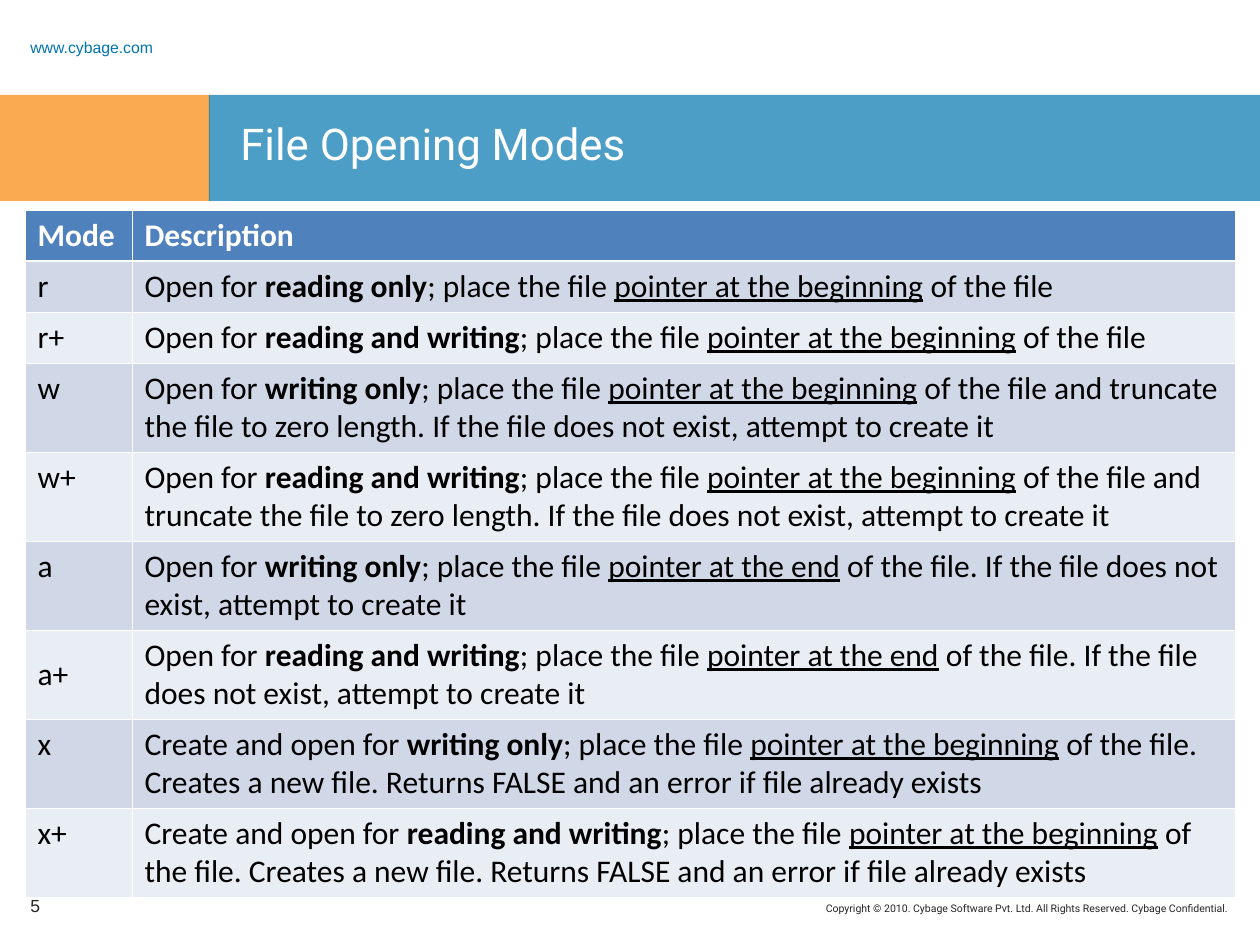
from lxml.etree import SubElement
from pptx import Presentation
from pptx.dml.color import RGBColor
from pptx.enum.shapes import MSO_SHAPE
from pptx.enum.text import MSO_ANCHOR as Anchor, PP_ALIGN as Align
from pptx.oxml.ns import qn
from pptx.util import Emu, Pt

PX = 914400 // 126
SLIDE_W, SLIDE_H = 1260, 945

WHITE = RGBColor(0xFF, 0xFF, 0xFF)
BLACK = RGBColor(0x00, 0x00, 0x00)
INK = RGBColor(0x26, 0x26, 0x26)
ORANGE = RGBColor(0xF8, 0x86, 0x08)
BLUE = RGBColor(0x00, 0x75, 0xB0)
HEADER_BLUE = RGBColor(0x4F, 0x81, 0xBD)
BAND_DARK = RGBColor(0xD0, 0xD8, 0xE8)
BAND_LIGHT = RGBColor(0xE9, 0xED, 0xF4)

READ, WRITE, BOTH = "reading only", "writing only", "reading and writing"
START, END = "pointer at the beginning", "pointer at the end"
ATTEMPT = "If the file does not exist, attempt to create it"
TRUNCATE = f" and truncate the file to zero length. {ATTEMPT}"
APPEND = f". {ATTEMPT}"
CREATE = ". Creates a new file. Returns FALSE and an error if file already exists"

# mode, opening words, access, pointer position, ending, row height
MODES = [
    ("r", "Open for ", READ, START, "", 51),
    ("r+", "Open for ", BOTH, START, "", 51),
    ("w", "Open for ", WRITE, START, TRUNCATE, 89),
    ("w+", "Open for ", BOTH, START, TRUNCATE, 89),
    ("a", "Open for ", WRITE, END, APPEND, 89),
    ("a+", "Open for ", BOTH, END, APPEND, 89),
    ("x", "Create and open for ", WRITE, START, CREATE, 89),
    ("x+", "Create and open for ", BOTH, START, CREATE, 89),
]
HEADER_H = 51
MODE_W = 107


def px(*lengths):
    return [Emu(length * PX) for length in lengths]


def add_run(paragraph, text, font, size, color, bold=False, underline=False):
    run = paragraph.add_run()
    run.text = text
    run.font.name = font
    run.font.size = Pt(size)
    run.font.color.rgb = color
    run.font.bold = bold
    run.font.underline = underline


def add_label(slide, box, text, font, size, color,
              anchor=Anchor.TOP, align=Align.LEFT, spacing=1.0):
    frame = slide.shapes.add_textbox(*px(*box)).text_frame
    frame.word_wrap = True
    frame.vertical_anchor = anchor
    line = frame.paragraphs[0]
    line.alignment = align
    line.line_spacing = spacing
    add_run(line, text, font, size, color)


def add_bar(slide, box, color):
    bar = slide.shapes.add_shape(MSO_SHAPE.RECTANGLE, *px(*box))
    bar.shadow.inherit = False
    bar.fill.solid()
    bar.fill.fore_color.rgb = color
    bar.line.fill.background()
    tint = bar.fill._xPr.find(qn("a:solidFill"))[0]
    SubElement(tint, qn("a:alpha"), val="70000")


def add_title_band(slide, box, title):
    left, top, width, height = box
    accent_w = 210
    add_bar(slide, (left, top, accent_w, height), ORANGE)
    add_bar(slide, (left + accent_w - 1, top, width - accent_w + 1, height), BLUE)
    add_label(slide, (left + 228, top + 16, 1000, 78), title, "Roboto", 25, WHITE)


def add_footer(slide, box, number, notice):
    left, top, width, height = box
    add_label(slide, (left, top, 68, height), number, "Arial", 10, INK, Anchor.MIDDLE)
    notice_w = 726
    add_label(slide, (left + width - notice_w, top + 15, notice_w, 33),
              notice, "Roboto", 6, INK, align=Align.RIGHT)


def style_cell(cell, fill, heavy_edge=None):
    # Borders come before the fill in the cell properties
    properties = cell._tc.get_or_add_tcPr()
    for edge in ("lnL", "lnR", "lnT", "lnB"):
        weight = Pt(1.5 if edge == heavy_edge else 0.5)
        line = SubElement(properties, qn(f"a:{edge}"), w=str(weight))
        SubElement(SubElement(line, qn("a:solidFill")), qn("a:srgbClr"), val=str(WHITE))
    cell.fill.solid()
    cell.fill.fore_color.rgb = fill


def add_modes_table(slide, box):
    left, top, width, height = box
    table = slide.shapes.add_table(len(MODES) + 1, 2, *px(left, top, width, height)).table
    table.columns[0].width, table.columns[1].width = px(MODE_W, width - MODE_W)

    # Header
    table.rows[0].height = px(HEADER_H)[0]
    for cell, heading in zip(table.rows[0].cells, ("Mode", "Description")):
        style_cell(cell, HEADER_BLUE, "lnB")
        add_run(cell.text_frame.paragraphs[0], heading, "Calibri", 18, WHITE, bold=True)

    # One banded row for each mode
    for index, (mode, opening, access, pointer, ending, row_h) in enumerate(MODES, 1):
        row = table.rows[index]
        row.height = px(row_h)[0]
        for cell in row.cells:
            style_cell(cell, BAND_DARK if index % 2 else BAND_LIGHT,
                       "lnT" if index == 1 else None)
            if mode == "a+":
                cell.vertical_anchor = Anchor.MIDDLE
        mode_line, description = [cell.text_frame.paragraphs[0] for cell in row.cells]
        add_run(mode_line, mode, "Calibri", 18, BLACK)
        for text, bold, underline in (
            (opening, False, False),
            (access, True, False),
            ("; place the file ", False, False),
            (pointer, False, True),
            (" of the file" + ending, False, False),
        ):
            add_run(description, text, "Calibri", 18, BLACK, bold, underline)


def main():
    deck = Presentation()
    deck.slide_width, deck.slide_height = px(SLIDE_W, SLIDE_H)
    slide = deck.slides.add_slide(deck.slide_layouts[6])
    add_label(slide, (18, 30, 190, 24), "www.cybage.com", "Arial", 9, BLUE,
              Anchor.MIDDLE, spacing=1.5)
    add_title_band(slide, (0, 95, SLIDE_W, 106), "File Opening Modes")
    add_footer(slide, (18, 881, 1222, 50), "5",
               "Copyright © 2010. Cybage Software Pvt. Ltd. "
               "All Rights Reserved. Cybage Confidential.")
    add_modes_table(slide, (25, 210, 1210, 687))
    deck.save("out.pptx")


if __name__ == "__main__":
    main()
